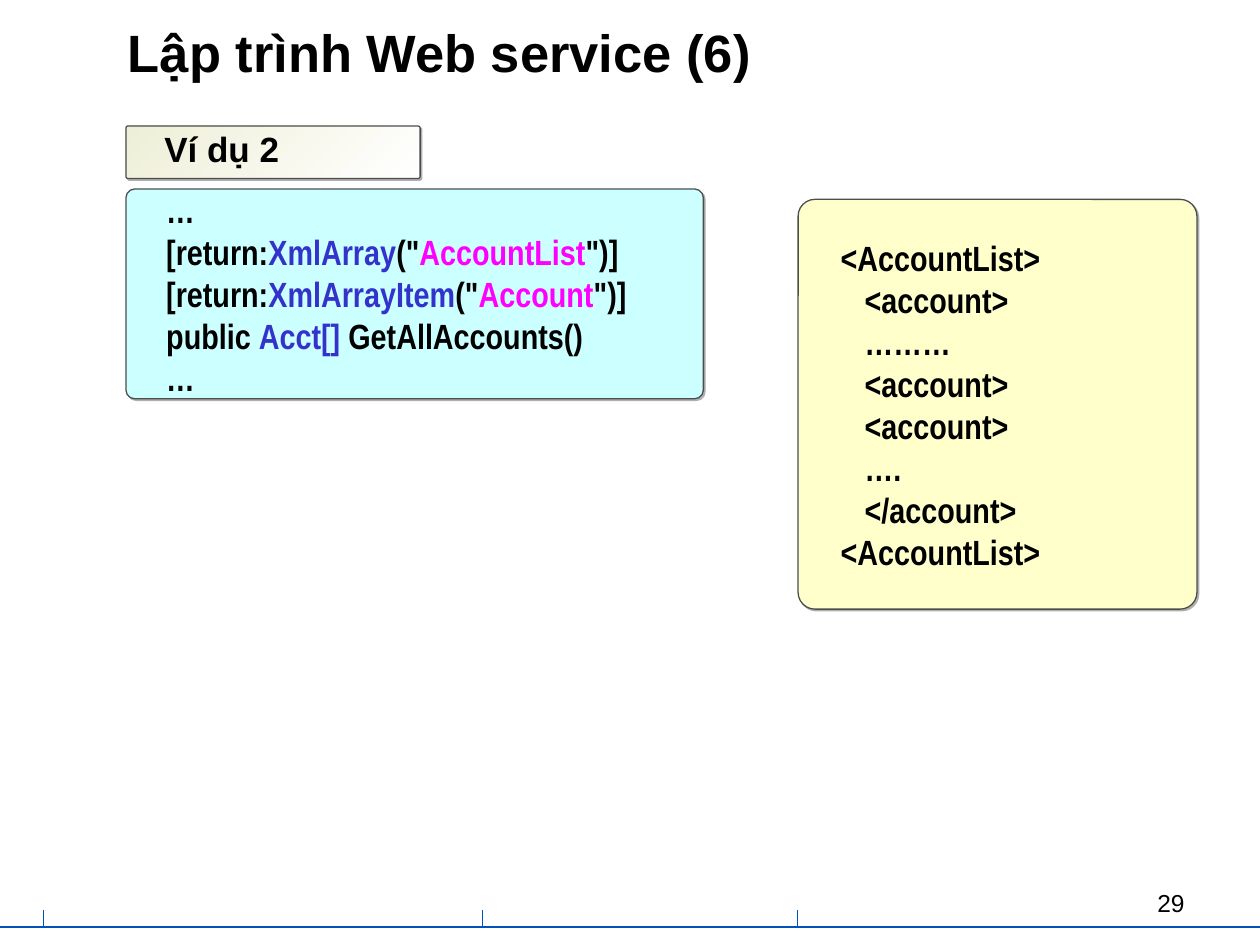
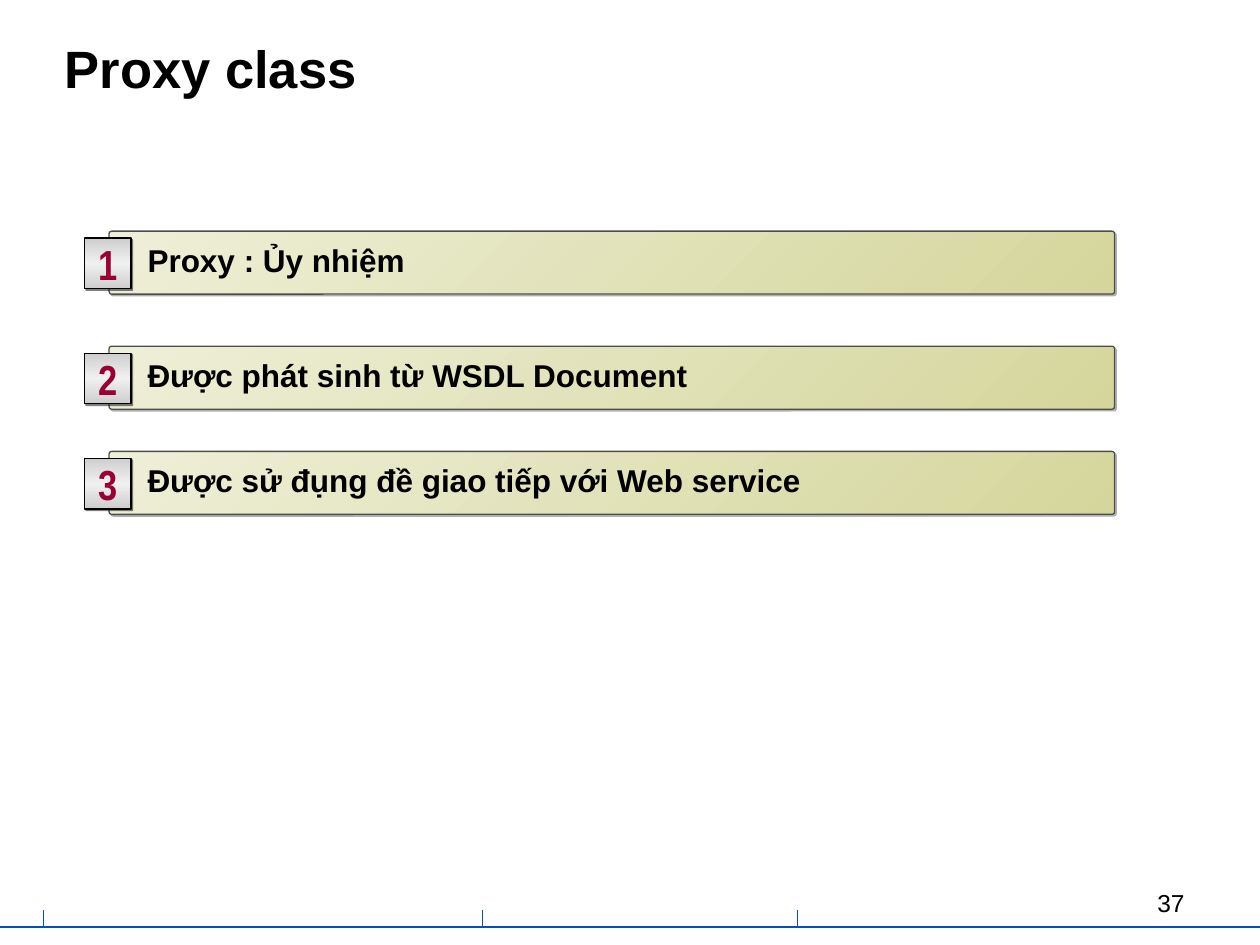
from lxml import etree
from pptx import Presentation
from pptx.dml.color import RGBColor
from pptx.enum.shapes import MSO_CONNECTOR, MSO_SHAPE
from pptx.enum.text import MSO_ANCHOR, PP_ALIGN
from pptx.oxml.ns import qn
from pptx.util import Cm, Pt

ROUND, RECT = MSO_SHAPE.ROUNDED_RECTANGLE, MSO_SHAPE.RECTANGLE
STRAIGHT = MSO_CONNECTOR.STRAIGHT
TOP, MIDDLE = MSO_ANCHOR.TOP, MSO_ANCHOR.MIDDLE
LEFT, CENTER, RIGHT = PP_ALIGN.LEFT, PP_ALIGN.CENTER, PP_ALIGN.RIGHT

BLACK = RGBColor(0x00, 0x00, 0x00)
WHITE = RGBColor(0xFF, 0xFF, 0xFF)
EDGE = RGBColor(0x4D, 0x4D, 0x4D)
RULE_BLUE = RGBColor(0x02, 0x51, 0xB8)
CODE_CYAN = RGBColor(0xCC, 0xFF, 0xFF)
XML_YELLOW = RGBColor(0xFF, 0xFF, 0xCC)
TYPE_BLUE = RGBColor(0x33, 0x33, 0xCC)
STRING_PINK = RGBColor(0xFF, 0x00, 0xFF)
CREAM = RGBColor(0xEE, 0xEF, 0xD7)
OLIVE = RGBColor(0xD5, 0xD6, 0x9C)
SILVER = RGBColor(0xCE, 0xCE, 0xCE)
PALE_GREY = RGBColor(0xF0, 0xF0, 0xF0)
SHADOW_GREY = RGBColor(0xAF, 0xAF, 0xAF)
CRIMSON = RGBColor(0x99, 0x00, 0x33)

SANS, NARROW = "Arial", "Arial Narrow"
TITLE_FONT = {"name": SANS, "size": Pt(30), "bold": True}
CODE_FONT = {"name": NARROW, "size": Pt(20), "bold": True}
LABEL_FONT = {"name": SANS, "size": Pt(20), "bold": True}
BAR_FONT = {"name": SANS, "size": Pt(18), "bold": True}
BADGE_FONT = {"name": NARROW, "size": Pt(24), "bold": True}
NUMBER_FONT = {"name": SANS, "size": Pt(14), "bold": False}

WIDTH, HEIGHT = 25.4, 19.05
RULE_Y, TICK_TOP = 18.69, 18.34
TICKS = (0.88, 9.73, 16.08)
CORNER = 0.042


def add_color(parent, color, alpha=100):
    clr = etree.SubElement(parent, qn("a:srgbClr"), val=str(color))
    if alpha < 100:
        etree.SubElement(clr, qn("a:alpha"), val=str(alpha * 1000))


class Deck:
    """Holds the presentation, its style and the slide being built."""

    def __init__(self):
        self.prs = Presentation()
        self.prs.slide_width, self.prs.slide_height = Cm(WIDTH), Cm(HEIGHT)
        self.s = None

    def slide(self, title, title_box, number):
        """Start a slide with its title, footer rule, ticks and number."""
        self.s = self.prs.slides.add_slide(self.prs.slide_layouts[6])
        self.line(WIDTH, RULE_Y, 0, RULE_Y)
        for x in TICKS:
            self.line(x, RULE_Y, x, TICK_TOP)
        self.textbox(title_box, title, TITLE_FONT, spacing=0.8, anchor=MIDDLE)
        self.textbox((18.2, 17.78, 5.93, 0.86), number, NUMBER_FONT, align=RIGHT)

    def line(self, x1, y1, x2, y2):
        c = self.s.shapes.add_connector(STRAIGHT, Cm(x1), Cm(y1), Cm(x2), Cm(y2))
        c.line.color.rgb = RULE_BLUE
        c.line.width = Pt(0.75)
        etree.SubElement(c._element.spPr, qn("a:effectLst"))

    def textbox(self, box, text, font, **layout):
        sp = self.s.shapes.add_textbox(*map(Cm, box))
        self.set_text(sp.text_frame, [[(text, BLACK)]], font, **layout)

    def panel(self, box, fill, lines, font, **layout):
        """Add a rounded, shadowed box with text."""
        sp = self.s.shapes.add_shape(ROUND, *map(Cm, box))
        sp.adjustments[0] = CORNER
        self.paint(sp, fill, EDGE)
        self.shade(sp, SHADOW_GREY)
        self.set_text(sp.text_frame, lines, font, inset=0.76, anchor=MIDDLE, **layout)

    def badge(self, box, text):
        sp = self.s.shapes.add_shape(RECT, *map(Cm, box))
        self.paint(sp, ((0, SILVER), (50, PALE_GREY), (100, SILVER)), BLACK, 90)
        self.shade(sp, BLACK, 50)
        self.set_text(sp.text_frame, [[(text, CRIMSON)]], BADGE_FONT,
                      align=CENTER, anchor=MIDDLE, wrap=False)

    def paint(self, sp, fill, edge, angle=225):
        """Fill with one colour, or with a gradient of (percent, colour) stops."""
        sp.line.color.rgb = edge
        sp.line.width = Pt(0.75)
        if isinstance(fill, RGBColor):
            sp.fill.solid()
            sp.fill.fore_color.rgb = fill
            return
        sp.fill.gradient()
        grad = sp._element.spPr.find(qn("a:gradFill"))
        stops = grad.find(qn("a:gsLst"))
        for gs in list(stops):
            stops.remove(gs)
        for percent, color in fill:
            gs = etree.SubElement(stops, qn("a:gs"), pos=str(percent * 1000))
            add_color(gs, color)
        grad.find(qn("a:lin")).set("ang", str(angle * 60000))

    def shade(self, sp, color, alpha=100):
        sp.shadow.inherit = False
        effects = sp._element.spPr.find(qn("a:effectLst"))
        shadow = etree.SubElement(effects, qn("a:outerShdw"), dist=str(int(Pt(1.4))),
                                  dir=str(45 * 60000), algn="ctr", rotWithShape="0")
        add_color(shadow, color, alpha)

    def set_text(self, tf, lines, font, align=LEFT, anchor=TOP, spacing=1.0,
                 inset=0.25, wrap=True):
        """Fill a frame with lines, each a list of (text, colour) runs."""
        frame = {"word_wrap": wrap, "vertical_anchor": anchor,
                 "margin_left": Cm(inset), "margin_right": Cm(0.25),
                 "margin_top": Cm(0.13), "margin_bottom": Cm(0.13)}
        for name, value in frame.items():
            setattr(tf, name, value)
        for i, runs in enumerate(lines):
            p = tf.add_paragraph() if i else tf.paragraphs[0]
            p.alignment, p.line_spacing = align, spacing
            for text, color in runs:
                r = p.add_run()
                r.text = text
                for name, value in font.items():
                    setattr(r.font, name, value)
                r.font.color.rgb = color


def attribute_line(attribute, name):
    return [("[return:", BLACK), (attribute, TYPE_BLUE), ('("', BLACK),
            (name, STRING_PINK), ('")]', BLACK)]


def build_example(deck):
    deck.slide("Lập trình Web service (6)", (2.33, 0.21, 20.53, 1.9), "29")
    code = [
        [("…", BLACK)],
        attribute_line("XmlArray", "AccountList"),
        attribute_line("XmlArrayItem", "Account"),
        [("public ", BLACK), ("Acct[]", TYPE_BLUE), (" GetAllAccounts()", BLACK)],
        [("…", BLACK)],
    ]
    deck.panel((2.54, 3.81, 11.64, 4.23), CODE_CYAN, code, CODE_FONT)
    xml = ["<AccountList>", "   <account>", "   ………", "   <account>",
           "   <account>", "   ….", "   </account>", "<AccountList>"]
    deck.panel((16.09, 4.02, 8.04, 8.26), XML_YELLOW,
               [[(text, BLACK)] for text in xml], CODE_FONT)
    deck.panel((2.54, 2.54, 5.93, 1.06), ((0, WHITE), (100, CREAM)),
               [[("Ví dụ 2", BLACK)]], LABEL_FONT, spacing=0.8)


def build_proxy(deck):
    deck.slide("Proxy class", (1.06, 0.42, 23.07, 2.12), "37")
    points = ((4.66, "Proxy : Ủy nhiệm"),
              (6.98, "Được phát sinh từ WSDL Document"),
              (9.1, "Được sử đụng đề giao tiếp với Web service"))
    for number, (top, text) in enumerate(points, 1):
        deck.panel((2.2, top, 20.27, 1.27), ((0, OLIVE), (100, CREAM)),
                   [[(text, BLACK)]], BAR_FONT, spacing=0.85)
        deck.badge((1.7, top + 0.14, 0.94, 1.02), str(number))


def main():
    deck = Deck()
    build_example(deck)
    build_proxy(deck)
    deck.prs.save("out.pptx")


if __name__ == "__main__":
    main()
